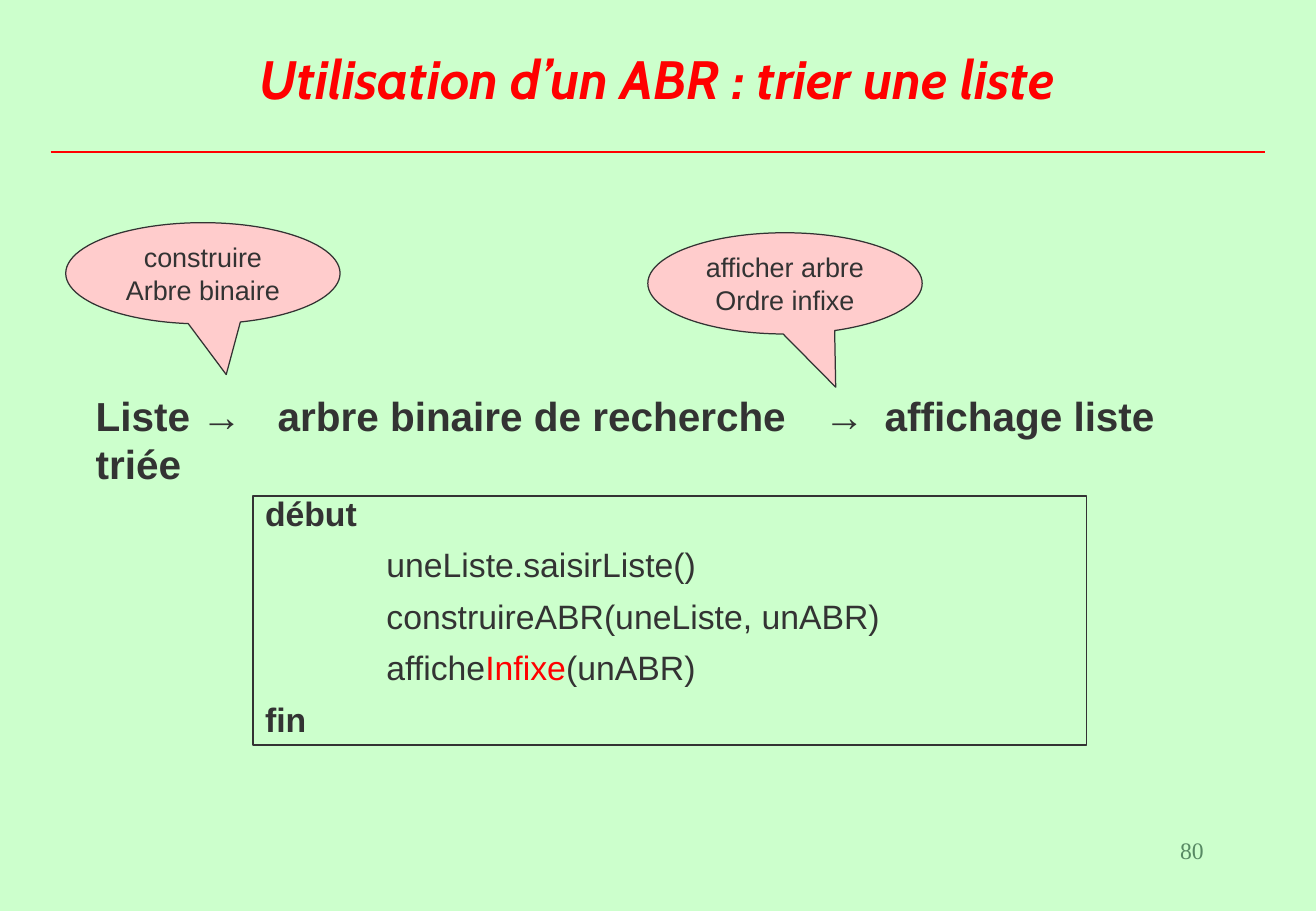
from lxml import etree
from pptx import Presentation
from pptx import util as u
from pptx.dml.color import RGBColor
from pptx.enum import shapes, text
from pptx.oxml.ns import qn

COLORS = {"page": "CCFFCC", "accent": "FF0000", "ink": "333333",
          "bubble": "FFCCCC", "number": "578963"}
ALIGN, ANCHOR = text.PP_ALIGN, text.MSO_ANCHOR

prs = Presentation()
prs.slide_width, prs.slide_height = u.Inches(10.84), u.Inches(7.5)
COL, ROW = prs.slide_width / 26, prs.slide_height / 18


def cells(x, y, w, h):
    """Turn a place on the 26 by 18 grid into lengths."""
    return [u.Emu(round(n * unit)) for n, unit in zip((x, y, w, h), (COL, ROW, COL, ROW))]


def write(tf, lines, size, font="Arial", color="ink", bold=False, italic=False,
          align=ALIGN.LEFT, anchor=ANCHOR.TOP, wrap=True, spacing=None, before=0,
          indent=0, tabs=()):
    """Fill a text frame; a line is a string or a list of (text, colour) runs.

    With an indent, the first and last lines are bold and flush left.
    """
    tf.auto_size, tf.word_wrap, tf.vertical_anchor = text.MSO_AUTO_SIZE.NONE, wrap, anchor
    for i, line in enumerate(lines):
        p = tf.paragraphs[0] if i == 0 else tf.add_paragraph()
        inner = bool(indent) and 0 < i < len(lines) - 1
        pPr = p._p.get_or_add_pPr()
        pPr.set("marL", str(u.Inches(indent) if inner else 0))
        pPr.set("indent", "0")
        etree.SubElement(pPr, qn("a:buNone"))
        if tabs:
            stops = etree.SubElement(pPr, qn("a:tabLst"))
            for pos in tabs:
                etree.SubElement(stops, qn("a:tab"), pos=str(u.Inches(pos)), algn="l")
        p.alignment = align
        p.space_before = u.Pt(before if i else 0)
        if spacing:
            p.line_spacing = spacing
        for words, tint in [(line, color)] if isinstance(line, str) else line:
            r = p.add_run()
            r.text = words
            r.font.name, r.font.size = font, u.Pt(size)
            r.font.bold, r.font.italic = bold and not inner, italic
            r.font.color.rgb = RGBColor.from_string(COLORS[tint])


s = prs.slides.add_slide(prs.slide_layouts[1])
s.background.fill.solid()
s.background.fill.fore_color.rgb = RGBColor.from_string(COLORS["page"])

title, steps = s.placeholders
title.left, title.top, title.width, title.height = cells(1.94, 0.6, 22.1, 3)
write(title.text_frame, ["Utilisation d’un ABR : trier une liste"], 32, font="Cabin",
      color="accent", bold=True, italic=True, align=ALIGN.CENTER, anchor=ANCHOR.BOTTOM)
title.text_frame.margin_bottom = u.Inches(0.59)

steps.left, steps.top, steps.width, steps.height = cells(1.65, 7.6, 23.3, 2.2)
write(steps.text_frame, ["Liste →\tarbre binaire de recherche\t→\taffichage liste triée"],
      24, bold=True, tabs=(1.48, 5.9, 6.37))

callouts = [
    (1.3, 4.4, (0.085, 1), ["construire", "Arbre binaire"]),
    (12.8, 4.6, (0.185, 1.025), ["afficher arbre", "Ordre infixe"]),
]
for x, y, tip, lines in callouts:
    sp = s.shapes.add_shape(shapes.MSO_SHAPE.OVAL_CALLOUT, *cells(x, y, 5.42, 2))
    sp.adjustments[0], sp.adjustments[1] = tip
    sp.shadow.inherit = False
    sp.fill.solid()
    sp.fill.fore_color.rgb = RGBColor.from_string(COLORS["bubble"])
    sp.line.color.rgb = RGBColor.from_string(COLORS["ink"])
    sp.line.width = u.Pt(0.75)
    write(sp.text_frame, lines, 16, align=ALIGN.CENTER, anchor=ANCHOR.MIDDLE, wrap=False)

code = s.shapes.add_shape(shapes.MSO_SHAPE.RECTANGLE, *cells(5, 9.8, 16.46, 4.92))
code.shadow.inherit = False
code.fill.background()
code.line.color.rgb = RGBColor.from_string(COLORS["ink"])
code.line.width = u.Pt(0.75)
write(code.text_frame, [
    "début",
    "uneListe.saisirListe()",
    "construireABR(uneListe, unABR)",
    [("affiche", "ink"), ("Infixe", "accent"), ("(unABR)", "ink")],
    "fin",
], 20, bold=True, spacing=0.75, before=12.5, indent=1)

left, top, right, bottom = cells(1, 3, 25, 3)
rule = s.shapes.add_connector(shapes.MSO_CONNECTOR.STRAIGHT, left, top, right, bottom)
rule.line.color.rgb = RGBColor.from_string(COLORS["accent"])
rule.line.width = u.Pt(1)
etree.SubElement(rule._element.spPr, qn("a:effectLst"))

number = s.shapes.add_textbox(*cells(18.6, 16.4, 5.42, 1.2))
write(number.text_frame, ["80"], 14, font="Times New Roman", color="number",
      align=ALIGN.RIGHT)

prs.save("out.pptx")
